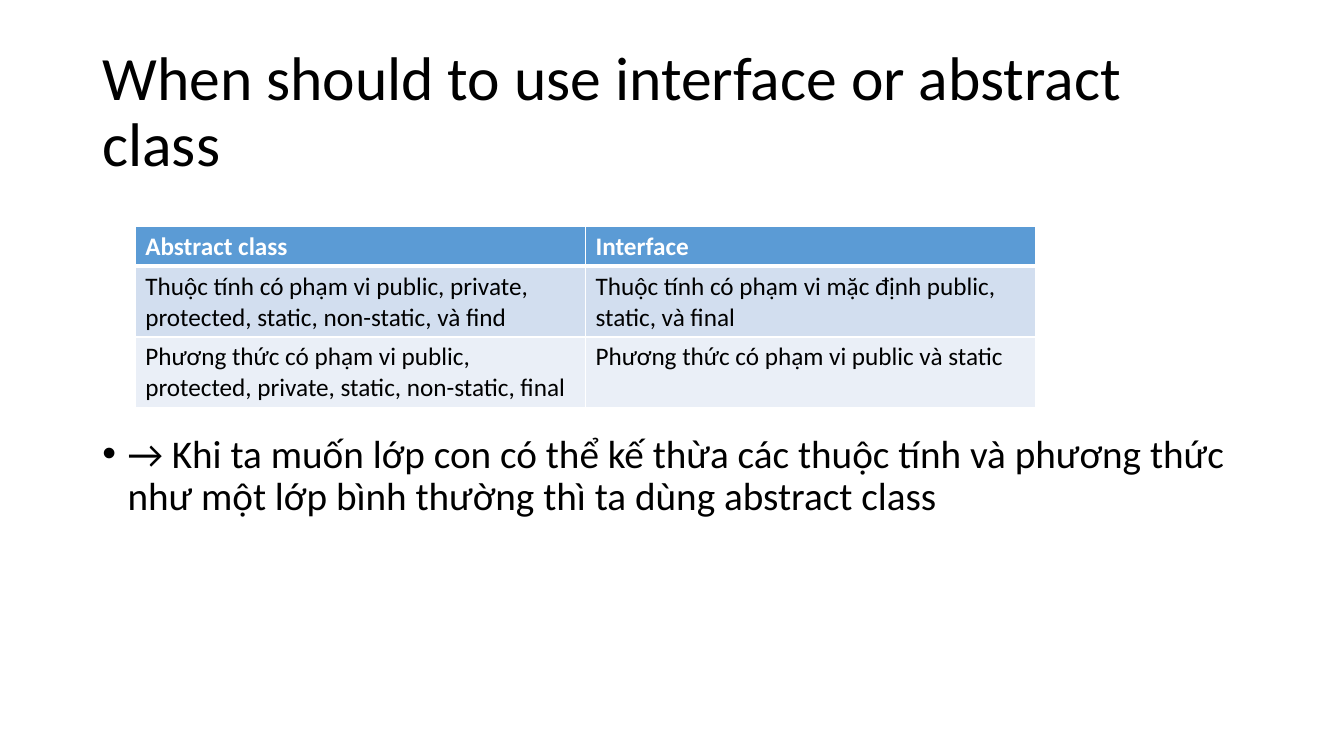
from collections import namedtuple
from dataclasses import dataclass

from lxml.etree import SubElement
from pptx import Presentation
from pptx.dml.color import RGBColor
from pptx.enum.text import MSO_ANCHOR
from pptx.oxml.ns import qn
from pptx.util import Inches, Pt

Box = namedtuple("Box", "left top width height")


@dataclass(frozen=True)
class Theme:
    font: str = "Calibri"
    ink: str = "000000"
    paper: str = "FFFFFF"
    header_fill: str = "5B9BD5"
    band_fills: tuple = ("D2DEEF", "EAEFF7")
    title_size: int = 44
    body_size: int = 28
    table_size: int = 18
    thin_rule: int = 1
    header_rule: int = 3


THEME = Theme()

# The slide is a grid of 160 columns by 90 rows; boxes are counted in its cells.
GRID_COLUMNS, GRID_ROWS = 160, 90
SLIDE_WIDTH, SLIDE_HEIGHT = Inches(13.33), Inches(7.5)
TITLE_BOX = Box(11, 4.8, 138, 17.4)
COMPARISON_BOX = Box(16.1, 26.9, 107.2, 21.6)
CONCLUSION_BOX = Box(11, 51.1, 138, 30)

TITLE = "When should to use interface or abstract class"
COMPARISON = [
    ("Abstract class", "Interface"),
    ("Thuộc tính có phạm vi public, private, protected, static, non-static, và find",
     "Thuộc tính có phạm vi mặc định public, static, và final"),
    ("Phương thức có phạm vi public, protected, private, static, non-static, final",
     "Phương thức có phạm vi public và static"),
]
ROW_SHARES = (4.8, 8.4, 8.4)
CONCLUSION = ("→ Khi ta muốn lớp con có thể kế thừa các thuộc tính và phương thức "
              "như một lớp bình thường thì ta dùng abstract class")


def on_grid(box):
    """Turn a box in grid cells into slide lengths."""
    column, row = SLIDE_WIDTH / GRID_COLUMNS, SLIDE_HEIGHT / GRID_ROWS
    return Box(round(box.left * column), round(box.top * row),
               round(box.width * column), round(box.height * row))


def write(frame, wording, size, color=THEME.ink, bold=False):
    frame.text = wording
    paragraph = frame.paragraphs[0]
    font = paragraph.runs[0].font
    font.name, font.size, font.bold = THEME.font, Pt(size), bold
    font.color.rgb = RGBColor.from_string(color)
    return paragraph


def add_text(slide, box, wording, size, anchor):
    frame = slide.shapes.add_textbox(*on_grid(box)).text_frame
    frame.word_wrap = True
    frame.vertical_anchor = anchor
    paragraph = write(frame, wording, size)
    paragraph.line_spacing = 0.9
    return paragraph


def add_title(slide, box):
    add_text(slide, box, TITLE, THEME.title_size, MSO_ANCHOR.MIDDLE)


def add_conclusion(slide, box):
    paragraph = add_text(slide, box, CONCLUSION, THEME.body_size, MSO_ANCHOR.TOP)
    properties = paragraph._p.get_or_add_pPr()
    properties.set("marL", str(Inches(0.25)))
    properties.set("indent", str(-Inches(0.25)))
    SubElement(properties, qn("a:buFont"), typeface="Arial")
    SubElement(properties, qn("a:buChar"), char="•")


def style_cell(cell, fill, top_rule, bottom_rule):
    """Draw the cell's four borders, then its fill."""
    properties = cell._tc.get_or_add_tcPr()
    rules = {"a:lnL": THEME.thin_rule, "a:lnR": THEME.thin_rule,
             "a:lnT": top_rule, "a:lnB": bottom_rule}
    for side, weight in rules.items():
        line = SubElement(properties, qn(side), w=str(Pt(weight)))
        solid = SubElement(line, qn("a:solidFill"))
        SubElement(solid, qn("a:srgbClr"), val=THEME.paper)
    cell.fill.solid()
    cell.fill.fore_color.rgb = RGBColor.from_string(fill)


def add_comparison(slide, box):
    place = on_grid(box)
    column_count = len(COMPARISON[0])
    table = slide.shapes.add_table(len(COMPARISON), column_count, *place).table
    for column in table.columns:
        column.width = place.width // column_count
    for index, (entries, share) in enumerate(zip(COMPARISON, ROW_SHARES)):
        table.rows[index].height = round(place.height * share / sum(ROW_SHARES))
        header = index == 0
        fill = THEME.header_fill if header else THEME.band_fills[(index - 1) % 2]
        top_rule = THEME.header_rule if index == 1 else THEME.thin_rule
        bottom_rule = THEME.header_rule if header else THEME.thin_rule
        for cell, entry in zip(table.rows[index].cells, entries):
            style_cell(cell, fill, top_rule, bottom_rule)
            write(cell.text_frame, entry, THEME.table_size,
                  THEME.paper if header else THEME.ink, header)


def main():
    presentation = Presentation()
    presentation.slide_width, presentation.slide_height = SLIDE_WIDTH, SLIDE_HEIGHT
    slide = presentation.slides.add_slide(presentation.slide_layouts[6])
    add_title(slide, TITLE_BOX)
    add_conclusion(slide, CONCLUSION_BOX)
    add_comparison(slide, COMPARISON_BOX)
    presentation.save("out.pptx")


if __name__ == "__main__":
    main()
